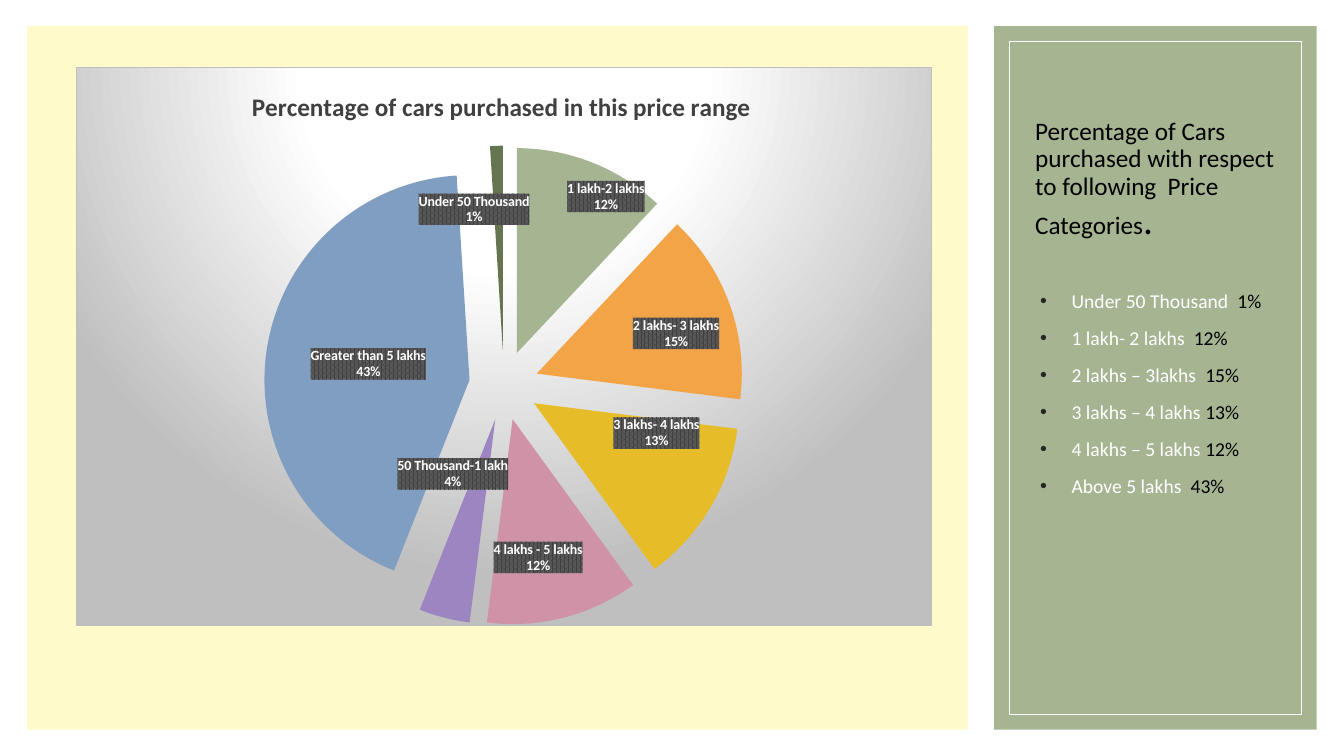
"""Build a slide with an exploded pie of car purchases by price range."""
from copy import deepcopy

from lxml.etree import SubElement
from pptx import Presentation
from pptx.chart.data import CategoryChartData
from pptx.dml.color import RGBColor
from pptx.enum.chart import XL_CHART_TYPE, XL_LABEL_POSITION
from pptx.enum.shapes import MSO_SHAPE
from pptx.enum.text import MSO_ANCHOR, MSO_AUTO_SIZE, PP_ALIGN
from pptx.oxml import parse_xml
from pptx.oxml.ns import qn
from pptx.util import Pt

FONT = "Calibri"
BLACK = RGBColor(0x00, 0x00, 0x00)
WHITE = RGBColor(0xFF, 0xFF, 0xFF)
CREAM = RGBColor(0xFE, 0xFA, 0xC9)
SAGE = RGBColor(0xA5, 0xB5, 0x92)
ORANGE = RGBColor(0xF3, 0xA4, 0x47)
GOLD = RGBColor(0xE7, 0xBC, 0x29)
PINK = RGBColor(0xD0, 0x92, 0xA7)
PURPLE = RGBColor(0x9C, 0x85, 0xC0)
BLUE = RGBColor(0x80, 0x9E, 0xC2)
GREEN = RGBColor(0x64, 0x75, 0x4F)
CHARCOAL = RGBColor(0x40, 0x40, 0x40)
BULLET = RGBColor(0x26, 0x26, 0x26)
SLATE = RGBColor(0x59, 0x59, 0x59)
SILVER = RGBColor(0xBF, 0xBF, 0xBF)
NAMESPACES = (
    'xmlns:c="http://schemas.openxmlformats.org/drawingml/2006/chart" '
    'xmlns:a="http://schemas.openxmlformats.org/drawingml/2006/main"'
)


def add_run(para, text, size, color):
    span = para.add_run()
    span.text = text
    span.font.name = FONT
    span.font.size = Pt(size)
    span.font.color.rgb = color


def make_layout(**settings):
    layout = parse_xml(f"<c:layout {NAMESPACES}><c:manualLayout/></c:layout>")
    for name, value in settings.items():
        SubElement(layout[0], qn(f"c:{name}")).set("val", str(value))
    return layout


deck = Presentation()
deck.slide_width, deck.slide_height = Pt(960), Pt(540)
page = deck.slides.add_slide(deck.slide_layouts[5])

panels = [
    (19.44, 18.72, 671.76, 502.56, CREAM, None),
    (710.1, 18.72, 230.4, 502.56, SAGE, None),
    (720.72, 29.52, 208.8, 480.96, None, WHITE),
]
for left, top, width, height, fill, line in panels:
    panel = page.shapes.add_shape(MSO_SHAPE.RECTANGLE, Pt(left), Pt(top), Pt(width), Pt(height))
    panel.shadow.inherit = False
    if fill:
        panel.fill.solid()
        panel.fill.fore_color.rgb = fill
        panel.line.fill.background()
    else:
        panel.fill.background()
        panel.line.color.rgb = line
        panel.line.width = Pt(0.5)

title = page.shapes.title
page.shapes._spTree.append(title._element)
title.left, title.top, title.width, title.height = Pt(732.24), Pt(47.52), Pt(191.52), Pt(129.6)
title.text_frame.vertical_anchor = MSO_ANCHOR.BOTTOM
title.text_frame.word_wrap = True
title.text_frame.auto_size = MSO_AUTO_SIZE.NONE
para = title.text_frame.paragraphs[0]
para.alignment = PP_ALIGN.LEFT
para.line_spacing = 0.9
add_run(para, "Percentage of Cars purchased with respect to following  Price Categories", 18, BLACK)
add_run(para, ".", 28, BLACK)

price_shares = [
    ("Under 50 Thousand ", " 1%"),
    ("1 lakh- 2 lakhs  ", "12%"),
    ("2 lakhs – 3lakhs  ", "15%"),
    ("3 lakhs – 4 lakhs ", "13%"),
    ("4 lakhs – 5 lakhs ", "12%"),
    ("Above 5 lakhs  ", "43%"),
]
box = page.shapes.add_textbox(Pt(735.84), Pt(200.88), Pt(191.52), Pt(275.76))
box.text_frame.word_wrap = True
for number, (price, share) in enumerate(price_shares):
    para = box.text_frame.add_paragraph() if number else box.text_frame.paragraphs[0]
    para.line_spacing = 1.1
    para.space_before = Pt(8)
    settings = para._p.get_or_add_pPr()
    settings.set("marL", str(Pt(22.5)))
    settings.set("indent", str(Pt(-22.5)))
    bullet_color = SubElement(settings, qn("a:buClr"))
    SubElement(bullet_color, qn("a:srgbClr")).set("val", str(BULLET))
    SubElement(settings, qn("a:buFont")).set("typeface", "Arial")
    SubElement(settings, qn("a:buChar")).set("char", "•")
    add_run(para, price, 14, WHITE)
    add_run(para, share, 14, BLACK)

slices = [
    ("1 lakh-2 lakhs", 12, SAGE, (0.06, -0.11)),
    ("2 lakhs- 3 lakhs", 15, ORANGE, (0.05, -0.01)),
    ("3 lakhs- 4 lakhs", 13, GOLD, (0.04, -0.04)),
    ("4 lakhs - 5 lakhs", 12, PINK, (0, 0.07)),
    ("50 Thousand-1 lakh", 4, PURPLE, (-0.02, -0.08)),
    ("Greater than 5 lakhs", 43, BLUE, None),
    ("Under 50 Thousand", 1, GREEN, (-0.03, -0.07)),
]
data = CategoryChartData()
data.categories = [name for name, *_ in slices]
data.add_series("Series 1", [value for _, value, *_ in slices])
chart = page.shapes.add_chart(XL_CHART_TYPE.PIE, Pt(54), Pt(48), Pt(612), Pt(399), data).chart
chart.has_legend = False
chart.font.name = FONT
chart.font.size = Pt(10)
chart.font.color.rgb = BLACK

chart.has_title = True
heading = chart.chart_title
heading.include_in_layout = False
para = heading.text_frame.paragraphs[0]
add_run(para, "Percentage of cars purchased in this price range", 18, CHARCOAL)
para.runs[0].font.bold = True
for old_layout in heading._element.findall(qn("c:layout")):
    heading._element.remove(old_layout)
heading._element.find(qn("c:tx")).addnext(make_layout(xMode="edge", yMode="edge", x=0.2, y=0.03))

plot_area = chart._chartSpace.chart.plotArea
for old_layout in plot_area.findall(qn("c:layout")):
    plot_area.remove(old_layout)
plot_area.insert(0, make_layout(
    layoutTarget="inner", xMode="edge", yMode="edge", x=0, y=0.14, w=1, h=0.86))

chart._chartSpace.chart.addnext(parse_xml(
    f'<c:spPr {NAMESPACES}><a:gradFill><a:gsLst>'
    f'<a:gs pos="0"><a:srgbClr val="{WHITE}"/></a:gs>'
    f'<a:gs pos="39000"><a:srgbClr val="{WHITE}"/></a:gs>'
    f'<a:gs pos="100000"><a:srgbClr val="{SILVER}"/></a:gs></a:gsLst>'
    '<a:path path="circle"><a:fillToRect l="50000" t="-80000" r="50000" b="180000"/></a:path>'
    f'</a:gradFill><a:ln w="{Pt(0.75)}"><a:solidFill><a:srgbClr val="{SILVER}"/></a:solidFill>'
    '</a:ln></c:spPr>'))

plot = chart.plots[0]
plot.vary_by_categories = True
series = plot.series[0]
series._element.find(qn("c:tx")).addnext(parse_xml(f'<c:explosion {NAMESPACES} val="17"/>'))

labels = series.data_labels
labels.show_value = False
labels.show_category_name = True
labels.show_percentage = True
labels.position = XL_LABEL_POSITION.CENTER
labels.font.name = FONT
labels.font.size = Pt(10)
labels.font.bold = True
labels.font.color.rgb = WHITE
label_set = labels._element
label_set.find(qn("c:txPr")).addprevious(parse_xml(
    f'<c:spPr {NAMESPACES}><a:pattFill prst="pct75"><a:fgClr><a:srgbClr val="{CHARCOAL}"/></a:fgClr>'
    f'<a:bgClr><a:srgbClr val="{SLATE}"/></a:bgClr></a:pattFill></c:spPr>'))
label_set.find(qn("c:showBubbleSize")).addnext(
    parse_xml(f"<c:separator {NAMESPACES}>\n</c:separator>"))
shared_parts = [part for part in label_set if part.tag != qn("c:showLeaderLines")]

moved_labels = []
for index, (_, _, color, shift) in enumerate(slices):
    wedge = series.points[index].format
    wedge.fill.solid()
    wedge.fill.fore_color.rgb = color
    wedge.line.fill.background()
    if shift:
        label = parse_xml(f'<c:dLbl {NAMESPACES}><c:idx val="{index}"/></c:dLbl>')
        label.append(make_layout(x=shift[0], y=shift[1]))
        label.extend(deepcopy(shared_parts))
        moved_labels.append(label)
label_set[0:0] = moved_labels

deck.save("out.pptx")
